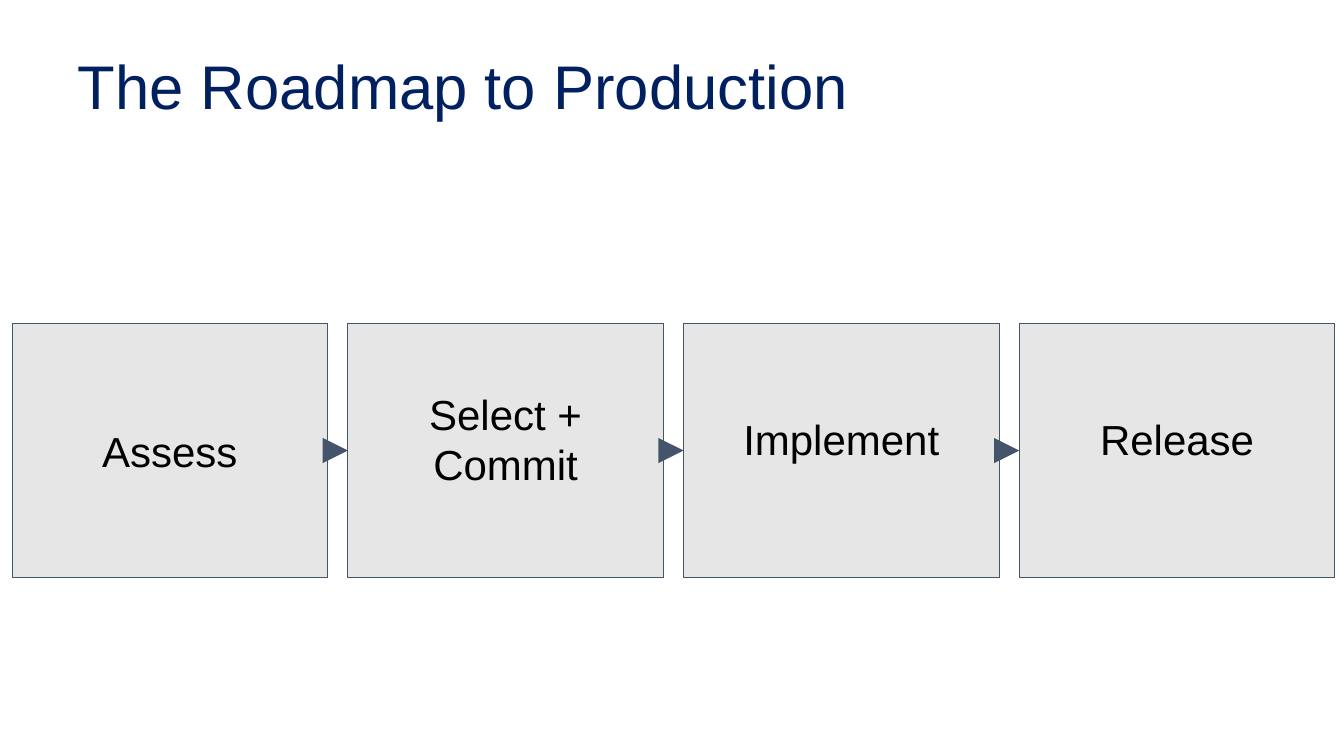
from lxml import etree
from pptx import Presentation
from pptx.dml.color import RGBColor
from pptx.enum.shapes import MSO_CONNECTOR, MSO_SHAPE
from pptx.enum.text import MSO_ANCHOR, MSO_AUTO_SIZE, PP_ALIGN
from pptx.oxml.ns import qn
from pptx.util import Inches, Pt

NAVY, SLATE, GREY, BLACK = "002060", "44546A", "E7E6E6", "000000"
STAGES = ["Assess", "Select + Commit", "Implement", "Release"]
LEFT, TOP, WIDTH, HEIGHT, PITCH = 0.12, 3.21, 3.13, 2.52, 3.33
PADDING, RAISE = 0.1, 0.23


def rgb(hex_color):
    return RGBColor.from_string(hex_color)


def write(tf, text, size, color, align=PP_ALIGN.CENTER, spacing=1.0, bottom=0.05):
    tf.word_wrap = True
    tf.auto_size = MSO_AUTO_SIZE.NONE
    tf.vertical_anchor = MSO_ANCHOR.MIDDLE
    tf.margin_bottom = Inches(bottom)
    p = tf.paragraphs[0]
    p.alignment, p.line_spacing = align, spacing
    r = p.add_run()
    r.text = text
    r.font.name, r.font.size = "Arial", Pt(size)
    r.font.color.rgb = rgb(color)


def add_title(s, text):
    title = s.shapes.title
    title.left, title.top = Inches(0.67), Inches(0.01)
    title.width, title.height = Inches(11.5), Inches(1.75)
    write(title.text_frame, text, 44, NAVY, align=PP_ALIGN.LEFT, spacing=0.9)


def add_stage(s, column, text):
    """Every stage after the first has its label raised above the arrow line."""
    box = s.shapes.add_shape(MSO_SHAPE.RECTANGLE, Inches(LEFT + column * PITCH),
                             Inches(TOP), Inches(WIDTH), Inches(HEIGHT))
    box.shadow.inherit = False
    box.fill.solid()
    box.fill.fore_color.rgb = rgb(GREY)
    box.line.color.rgb = rgb(SLATE)
    box.line.width = Pt(0.75)
    box.text_frame.margin_top = Inches(PADDING)
    write(box.text_frame, text, 30, BLACK,
          bottom=PADDING + (RAISE if column else 0))
    return box


def add_arrow(s, start, end):
    arrow = s.shapes.add_connector(MSO_CONNECTOR.STRAIGHT, 0, 0, 0, 0)
    arrow.begin_connect(start, 3)
    arrow.end_connect(end, 1)
    arrow.line.color.rgb = rgb(SLATE)
    arrow.line.width = Pt(6)
    etree.SubElement(arrow.line._get_or_add_ln(), qn("a:tailEnd"), type="triangle")
    etree.SubElement(arrow._element.spPr, qn("a:effectLst"))


def main():
    prs = Presentation()
    prs.slide_width, prs.slide_height = Inches(13.33), Inches(7.5)
    s = prs.slides.add_slide(prs.slide_layouts[5])
    add_title(s, "The Roadmap to Production")
    boxes = [add_stage(s, i, text) for i, text in enumerate(STAGES)]
    for start, end in zip(boxes, boxes[1:]):
        add_arrow(s, start, end)
    prs.save("out.pptx")


if __name__ == "__main__":
    main()
